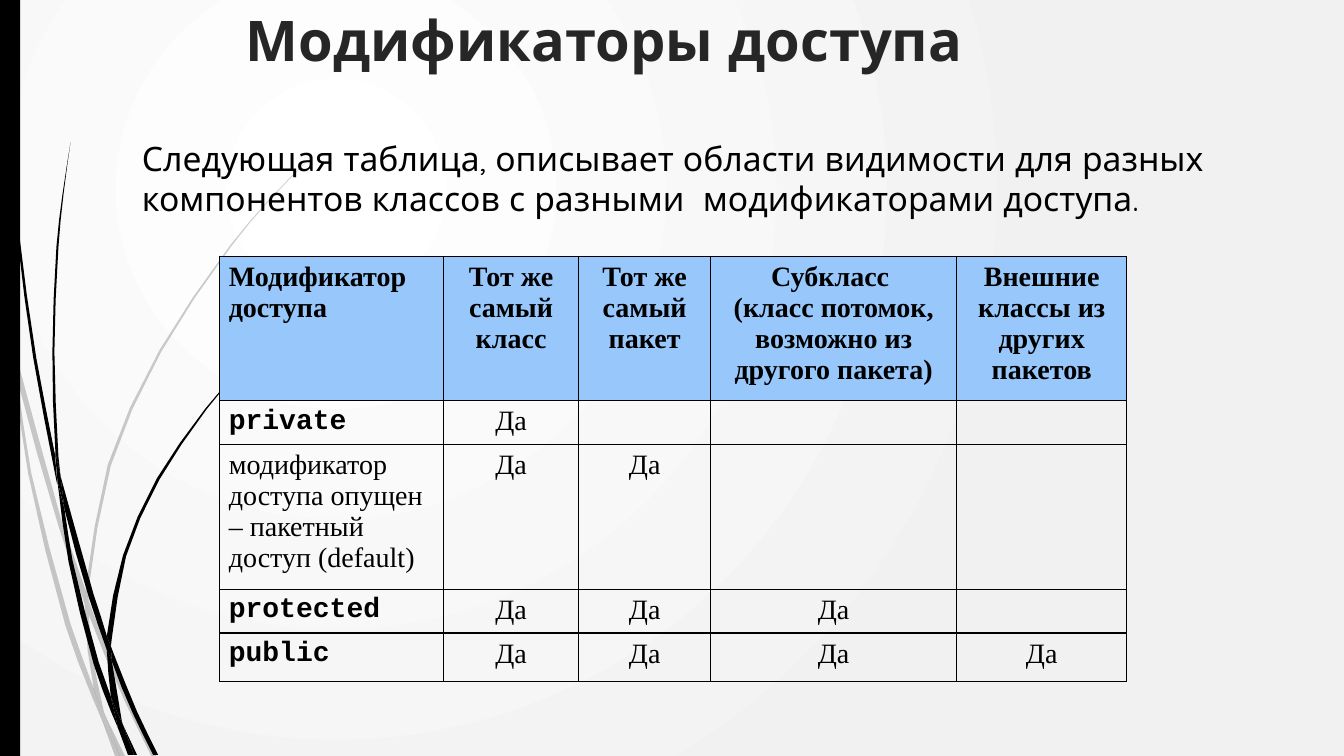
from itertools import product

from lxml.etree import SubElement
from pptx import Presentation
from pptx.dml.color import RGBColor
from pptx.enum.shapes import MSO_SHAPE as Preset
from pptx.enum.text import MSO_ANCHOR as Anchor, MSO_AUTO_SIZE as AutoSize, PP_ALIGN as Align
from pptx.oxml.ns import qn
from pptx.util import Inches, Pt

WIDTH, HEIGHT = Inches(13.33), Inches(7.5)
COLORS = {"centre": "FFFFFF", "rim": "F1F1F1", "black": "000000",
          "title": "262626", "header": "97C7FB"}
TITLE_FONT = {"name": "Quicksand", "size": Pt(40), "bold": True}
INTRO_FONT = {"name": "Quicksand", "size": Pt(24), "bold": False}
HEAD_FONT = {"name": "Times New Roman", "size": Pt(20), "bold": True}
CELL_FONT = {**HEAD_FONT, "bold": False}
CODE_FONT = {**HEAD_FONT, "name": "Courier New"}

STEM_COLUMNS, STEM_ROWS = 320, 750
PALE_STEMS = [
    ([(0, 282), (9, 322), (11, 350)], [(0, 299), (10, 344), (11, 350)]),
    ([(14, 345), (17, 376), (58, 522), (84, 599)], [(14, 345), (62, 520), (85, 586), (84, 599)]),
    ([(88, 596), (88, 610), (123, 694), (150, 750)], [(88, 596), (92, 607), (127, 692), (155, 750)]),
    ([(105, 711), (119, 750)], [(105, 711), (124, 750)]),
    ([(11, 350), (28, 470), (65, 621), (92, 693), (101, 714)],
     [(11, 350), (17, 376), (31, 469), (70, 619), (93, 683), (99, 707), (101, 714)]),
    ([(84, 599), (87, 646), (93, 683), (96, 692), (105, 711)],
     [(84, 599), (88, 608), (88, 610), (91, 646), (103, 706), (105, 711)]),
    ([(312, 153), (289, 175), (268, 197), (228, 244), (158, 348), (107, 461), (85, 584), (85, 586), (88, 596)],
     [(312, 153), (290, 175), (268, 198), (229, 245), (160, 349), (110, 462), (88, 584), (88, 596)]),
    ([(101, 714), (114, 750)], [(101, 714), (119, 750)]),
    ([(85, 586), (84, 599), (88, 608), (88, 610)], [(85, 586), (88, 596), (88, 610)]),
    ([(93, 683), (99, 707), (101, 714), (119, 750)], [(93, 683), (96, 692), (105, 711), (119, 750)]),
]
BLACK_STEMS = [
    ([(3, 0), (4, 48), (7, 110), (17, 233), (33, 355), (56, 477), (57, 481)],
     [(4, 0), (5, 48), (8, 109), (19, 232), (36, 355), (55, 453), (55, 457), (57, 481)]),
    ([(60, 472), (64, 505), (88, 592), (106, 645)], [(60, 472), (93, 590), (106, 631), (106, 645)]),
    ([(110, 641), (111, 656), (132, 708), (152, 749)], [(110, 641), (113, 649), (136, 706), (157, 749)]),
    ([(57, 477), (68, 557), (93, 659), (111, 708), (117, 722)],
     [(57, 477), (64, 505), (72, 556), (98, 657), (110, 691), (116, 717), (117, 722)]),
    ([(70, 141), (62, 193), (56, 245), (52, 349), (55, 449), (60, 472)],
     [(70, 141), (63, 193), (58, 245), (54, 349), (58, 453), (60, 472)]),
    ([(122, 719), (133, 749)], [(122, 719), (136, 749)]),
    ([(55, 449), (55, 453), (57, 477), (64, 505)], [(55, 449), (60, 472), (64, 505)]),
    ([(260, 344), (245, 358), (231, 373), (204, 405), (156, 474), (122, 551), (106, 631), (110, 641)],
     [(260, 344), (245, 359), (231, 374), (205, 406), (158, 476), (125, 552), (111, 633), (110, 641)]),
    ([(117, 722), (127, 749)], [(117, 722), (131, 749)]),
    ([(106, 645), (110, 691), (116, 706), (122, 719)],
     [(106, 645), (109, 651), (111, 656), (121, 716), (122, 719)]),
    ([(106, 631), (106, 645), (109, 651), (111, 656)], [(106, 631), (110, 641), (111, 656)]),
    ([(110, 691), (116, 717), (117, 722), (130, 749)], [(110, 691), (116, 706), (122, 719), (133, 749)]),
]

HEADINGS = ["Модификатор\nдоступа ", "Тот же самый класс", "Тот же самый пакет",
            "Субкласс \n(класс потомок, возможно из другого пакета)",
            "Внешние классы из других пакетов"]
ACCESS = [("private", 1), ("модификатор доступа опущен – пакетный доступ (default)", 2),
          ("protected", 3), ("public", 4)]
KEYWORDS = {"private", "protected", "public"}
COLUMN_SHARES = [0.2467, 0.1489, 0.1456, 0.2711, 0.1877]
ROW_SHARES = [0.34, 0.1, 0.34, 0.1, 0.115]


def share_box(left, top, width, height):
    """Turn percentages of the slide into a box of lengths."""
    return (int(WIDTH * left / 100), int(HEIGHT * top / 100),
            int(WIDTH * width / 100), int(HEIGHT * height / 100))


def paint(shape, color, opacity=100):
    """Give a shape a flat fill without line or shadow."""
    shape.shadow.inherit = False
    shape.fill.solid()
    shape.fill.fore_color.rgb = RGBColor.from_string(COLORS[color])
    shape.line.fill.background()
    if opacity < 100:
        tint = shape._element.spPr.find(".//" + qn("a:srgbClr"))
        SubElement(tint, qn("a:alpha"), {"val": str(opacity * 1000)})


def write(frame, text, font, color="black", align=Align.LEFT):
    """Fill a text frame with evenly formatted paragraphs."""
    frame.text = text
    for paragraph in frame.paragraphs:
        paragraph.alignment = align
        for run in paragraph.runs:
            run.font.color.rgb = RGBColor.from_string(COLORS[color])
            for key, value in font.items():
                setattr(run.font, key, value)


def smooth(edge):
    """Round a descending edge by adding the Hermite midpoint of its long pieces."""
    last = len(edge) - 1
    slopes = []
    for i in range(last + 1):
        (x0, y0), (x1, y1) = edge[max(i - 1, 0)], edge[min(i + 1, last)]
        slopes.append((x1 - x0) / (y1 - y0))
    points = [edge[0]]
    for i in range(last):
        (x0, y0), (x1, y1) = edge[i], edge[i + 1]
        if y1 - y0 > 40:
            bend = (slopes[i] - slopes[i + 1]) * (y1 - y0) / 8
            points.append(((x0 + x1) / 2 + bend, (y0 + y1) / 2))
        points.append(edge[i + 1])
    return points


def add_background(slide):
    """Lay a circular gradient behind the slide."""
    fill = slide.background.fill
    fill.gradient()
    for stop, color in zip(fill.gradient_stops, ("centre", "rim")):
        stop.color.rgb = RGBColor.from_string(COLORS[color])
    gradient = slide._element.find(".//" + qn("a:gradFill"))
    gradient.remove(gradient.find(qn("a:lin")))
    circle = SubElement(gradient, qn("a:path"), {"path": "circle"})
    SubElement(circle, qn("a:fillToRect"), {"l": "50000", "t": "50000", "r": "100000", "b": "100000"})


def add_stems(slide, box):
    """Draw the curved grass stems and the black edge bar."""
    left, top, width, height = box
    for stems, opacity in ((PALE_STEMS, 20), (BLACK_STEMS, 100)):
        for near, far in stems:
            outline = [(int(left + width * x / STEM_COLUMNS), int(top + height * y / STEM_ROWS))
                       for x, y in smooth(near) + smooth(far)[:0:-1]]
            builder = slide.shapes.build_freeform(*outline[0], scale=1.0)
            builder.add_line_segments(outline[1:], close=True)
            paint(builder.convert_to_shape(), "black", opacity)
    bar = slide.shapes.add_shape(Preset.RECTANGLE, left, top, int(width / 16), height)
    paint(bar, "black")


def add_title(slide, box):
    """Place the slide title."""
    title = slide.shapes.title
    title.left, title.top, title.width, title.height = box
    layout = {"vertical_anchor": Anchor.TOP, "auto_size": AutoSize.NONE, "word_wrap": True}
    for key, value in layout.items():
        setattr(title.text_frame, key, value)
    write(title.text_frame, "Модификаторы доступа ", TITLE_FONT, "title")


def add_intro(slide, box):
    """Place the sentence that introduces the table."""
    frame = slide.shapes.add_textbox(*box).text_frame
    layout = {"vertical_anchor": Anchor.MIDDLE, "auto_size": AutoSize.SHAPE_TO_FIT_TEXT,
              "word_wrap": True}
    for key, value in layout.items():
        setattr(frame, key, value)
    write(frame, "Следующая таблица, описывает области видимости для разных компонентов "
                 "классов с разными  модификаторами доступа. ", INTRO_FONT)


def format_cell(cell, header):
    """Set borders, insets and fill of a table cell."""
    margins = {"margin_left": 0.09, "margin_right": 0.09, "margin_top": 0.05, "margin_bottom": 0.05}
    for key, value in margins.items():
        setattr(cell, key, Inches(value))
    properties = cell._tc.get_or_add_tcPr()
    for side in ("lnL", "lnR", "lnT", "lnB"):
        border = SubElement(properties, qn("a:" + side), {"w": str(Pt(1))})
        SubElement(SubElement(border, qn("a:solidFill")), qn("a:srgbClr"), {"val": COLORS["black"]})
    if header:
        cell.fill.solid()
        cell.fill.fore_color.rgb = RGBColor.from_string(COLORS["header"])
    else:
        cell.fill.background()


def add_access_table(slide, box):
    """Build the table of access modifiers."""
    rows = [HEADINGS] + [[name] + ["Да"] * count + [""] * (4 - count) for name, count in ACCESS]
    table = slide.shapes.add_table(len(rows), len(HEADINGS), *box).table
    table.horz_banding = False
    for column, share in zip(table.columns, COLUMN_SHARES):
        column.width = int(box[2] * share)
    for row, share in zip(table.rows, ROW_SHARES):
        row.height = int(box[3] * share)
    for r, c in product(range(len(rows)), range(len(HEADINGS))):
        cell, text = table.cell(r, c), rows[r][c]
        format_cell(cell, header=r == 0)
        font = HEAD_FONT if r == 0 else CODE_FONT if text in KEYWORDS else CELL_FONT
        write(cell.text_frame, text, font, align=Align.CENTER if c else Align.LEFT)


def build():
    """Assemble and save the slide."""
    deck = Presentation()
    deck.slide_width, deck.slide_height = WIDTH, HEIGHT
    slide = deck.slides.add_slide(deck.slide_layouts[5])
    add_background(slide)
    add_stems(slide, share_box(0, 0, 24, 100))
    add_title(slide, share_box(17.55, 0, 57.91, 12.53))
    add_intro(slide, share_box(9.83, 17.47, 87.17, 12.13))
    add_access_table(slide, share_box(16.35, 33.9, 67.5, 56.27))
    deck.save("out.pptx")


build()
